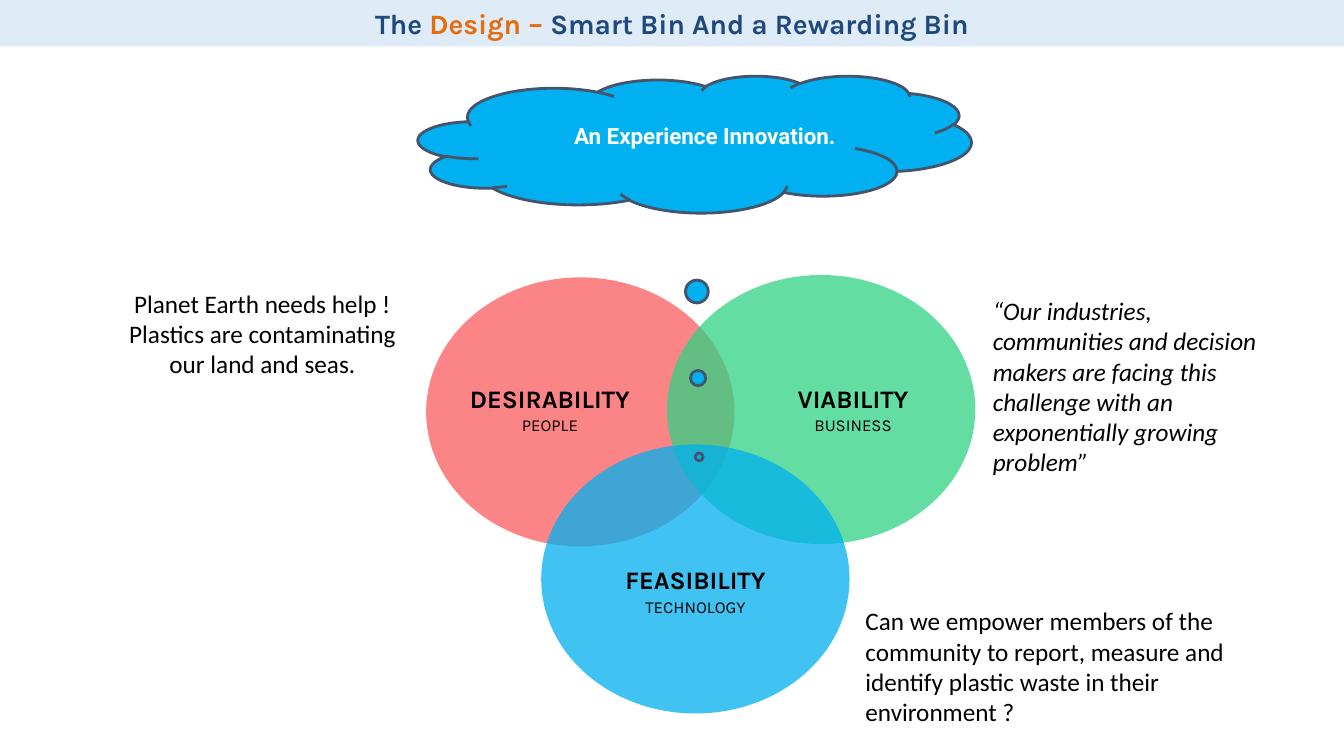
"""Build the smart bin design slide with its three overlapping innovation circles."""
from dataclasses import dataclass

from lxml import etree
from pptx import Presentation
from pptx.dml.color import RGBColor
from pptx.enum.shapes import MSO_SHAPE
from pptx.enum.text import MSO_ANCHOR, MSO_AUTO_SIZE, PP_ALIGN
from pptx.oxml.ns import qn
from pptx.shapes.autoshape import Shape
from pptx.slide import Slide
from pptx.util import Cm, Pt

CENTER = PP_ALIGN.CENTER
LEFT = PP_ALIGN.LEFT
MIDDLE = MSO_ANCHOR.MIDDLE
NO_AUTOFIT = MSO_AUTO_SIZE.NONE
ELLIPSE = MSO_SHAPE.OVAL
CLOUD = MSO_SHAPE.CLOUD_CALLOUT
TITLE_ONLY_LAYOUT = 5

COLORS = {
    "bar": "DEEBF7",
    "navy": "1F497D",
    "orange": "E46C0A",
    "red": "FA5D5E",
    "green": "2FD283",
    "blue": "00B0F0",
    "outline": "44546A",
    "black": "000000",
    "white": "FFFFFF",
}
SLIDE_WIDTH, SLIDE_HEIGHT = 33.87, 19.05
CIRCLE_WIDTH, CIRCLE_HEIGHT = 7.77, 6.78
LABEL_WIDTH, LABEL_HEIGHT, CAPTION_OFFSET = 6, 1.02, 0.8


@dataclass(frozen=True)
class Circle:
    """One innovation circle with the position of its label."""
    left: float
    top: float
    color: str
    name: str
    caption: str
    label_center: float
    label_top: float


@dataclass(frozen=True)
class TextBlock:
    """A text box with uniform formatting."""
    left: float
    top: float
    width: float
    height: float
    paragraphs: tuple[str, ...]
    size: float = 18
    font: str = "Calibri"
    color: str = "black"
    alignment: PP_ALIGN = CENTER
    bold: bool = False
    italic: bool = False


CIRCLES = (
    Circle(10.74, 6.99, "red", "DESIRABILITY", "PEOPLE", 13.86, 9.53),
    Circle(16.81, 6.93, "green", "VIABILITY", "BUSINESS", 21.5, 9.53),
    Circle(13.64, 11.2, "blue", "FEASIBILITY", "TECHNOLOGY", 17.53, 14.1),
)
CLOUD_TEXT = TextBlock(11.63, 2.95, 12.27, 0.94, ("An Experience Innovation.",),
                       size=16, font="Roboto", color="white", bold=True)
NOTES = (
    TextBlock(21.56, 15.14, 10.06, 3.33,
              ("Can we empower members of the community to report, measure and "
               "identify plastic waste in their environment ?",), alignment=LEFT),
    TextBlock(2.97, 7.14, 7.29, 2.57,
              ("Planet Earth needs help !", "Plastics are contaminating our land and seas.")),
    TextBlock(24.77, 7.32, 7.29, 5.64,
              ("“Our industries, communities and decision makers are facing this "
               "challenge with an exponentially growing problem”",),
              alignment=LEFT, italic=True),
)
TITLE_RUNS = (
    ("The ", "navy"),
    ("Design – ", "orange"),
    ("Smart Bin And a Rewarding Bin", "navy"),
)


def rgb(name: str) -> RGBColor:
    """Return the named color."""
    return RGBColor.from_string(COLORS[name])


def fill_shape(shape: Shape, color: str, opacity: int = 100) -> None:
    """Fill a shape with a color at an opacity in percent."""
    shape.fill.solid()
    shape.fill.fore_color.rgb = rgb(color)
    if opacity < 100:
        color_element = shape.element.find(".//" + qn("a:srgbClr"))
        etree.SubElement(color_element, qn("a:alpha"), val=str(opacity * 1000))


def add_text(slide: Slide, block: TextBlock) -> None:
    """Add a wrapped text box."""
    box = slide.shapes.add_textbox(
        Cm(block.left), Cm(block.top), Cm(block.width), Cm(block.height))
    frame = box.text_frame
    frame.word_wrap = True
    frame.text = "\n".join(block.paragraphs)
    for paragraph in frame.paragraphs:
        paragraph.alignment = block.alignment
        paragraph.font.size = Pt(block.size)
        paragraph.font.name = block.font
        paragraph.font.bold = block.bold
        paragraph.font.italic = block.italic
        paragraph.font.color.rgb = rgb(block.color)


def add_title(slide: Slide) -> None:
    """Turn the title placeholder into the bar across the top."""
    title = slide.shapes.title
    title.left, title.top = Cm(0), Cm(0)
    title.width, title.height = Cm(SLIDE_WIDTH), Cm(1.17)
    fill_shape(title, "bar", 96)
    frame = title.text_frame
    frame.auto_size = NO_AUTOFIT
    frame.vertical_anchor = MIDDLE
    paragraph = frame.paragraphs[0]
    paragraph.alignment = CENTER
    paragraph.font.size = Pt(20)
    paragraph.font.name = "Karla"
    paragraph.font.bold = True
    for text, color in TITLE_RUNS:
        run = paragraph.add_run()
        run.text = text
        run.font.color.rgb = rgb(color)


def add_circle(slide: Slide, circle: Circle) -> None:
    """Add one translucent circle."""
    shape = slide.shapes.add_shape(
        ELLIPSE, Cm(circle.left), Cm(circle.top), Cm(CIRCLE_WIDTH), Cm(CIRCLE_HEIGHT))
    shape.shadow.inherit = False
    fill_shape(shape, circle.color, 75)
    shape.line.fill.background()


def add_label(slide: Slide, circle: Circle) -> None:
    """Add the name of a circle with its caption below."""
    left = circle.label_center - LABEL_WIDTH / 2
    add_text(slide, TextBlock(left, circle.label_top, LABEL_WIDTH, LABEL_HEIGHT,
                              (circle.name,), font="Karla", bold=True))
    add_text(slide, TextBlock(left, circle.label_top + CAPTION_OFFSET, LABEL_WIDTH,
                              LABEL_HEIGHT, (circle.caption,), size=12, font="Karla"))


def add_cloud(slide: Slide) -> None:
    """Add the thought cloud whose bubbles lead to the overlap of the circles."""
    cloud = slide.shapes.add_shape(CLOUD, Cm(10.54), Cm(1.91), Cm(13.94), Cm(3.45))
    cloud.adjustments[0] = 0.008
    cloud.adjustments[1] = 2.284
    cloud.shadow.inherit = False
    fill_shape(cloud, "blue")
    cloud.line.color.rgb = rgb("outline")
    cloud.line.width = Pt(2)
    add_text(slide, CLOUD_TEXT)


def main() -> None:
    """Build and save the presentation."""
    presentation = Presentation()
    presentation.slide_width = Cm(SLIDE_WIDTH)
    presentation.slide_height = Cm(SLIDE_HEIGHT)
    slide = presentation.slides.add_slide(presentation.slide_layouts[TITLE_ONLY_LAYOUT])
    add_title(slide)
    for circle in CIRCLES:
        add_circle(slide, circle)
    for circle in CIRCLES:
        add_label(slide, circle)
    add_cloud(slide)
    for note in NOTES:
        add_text(slide, note)
    presentation.save("out.pptx")


if __name__ == "__main__":
    main()
